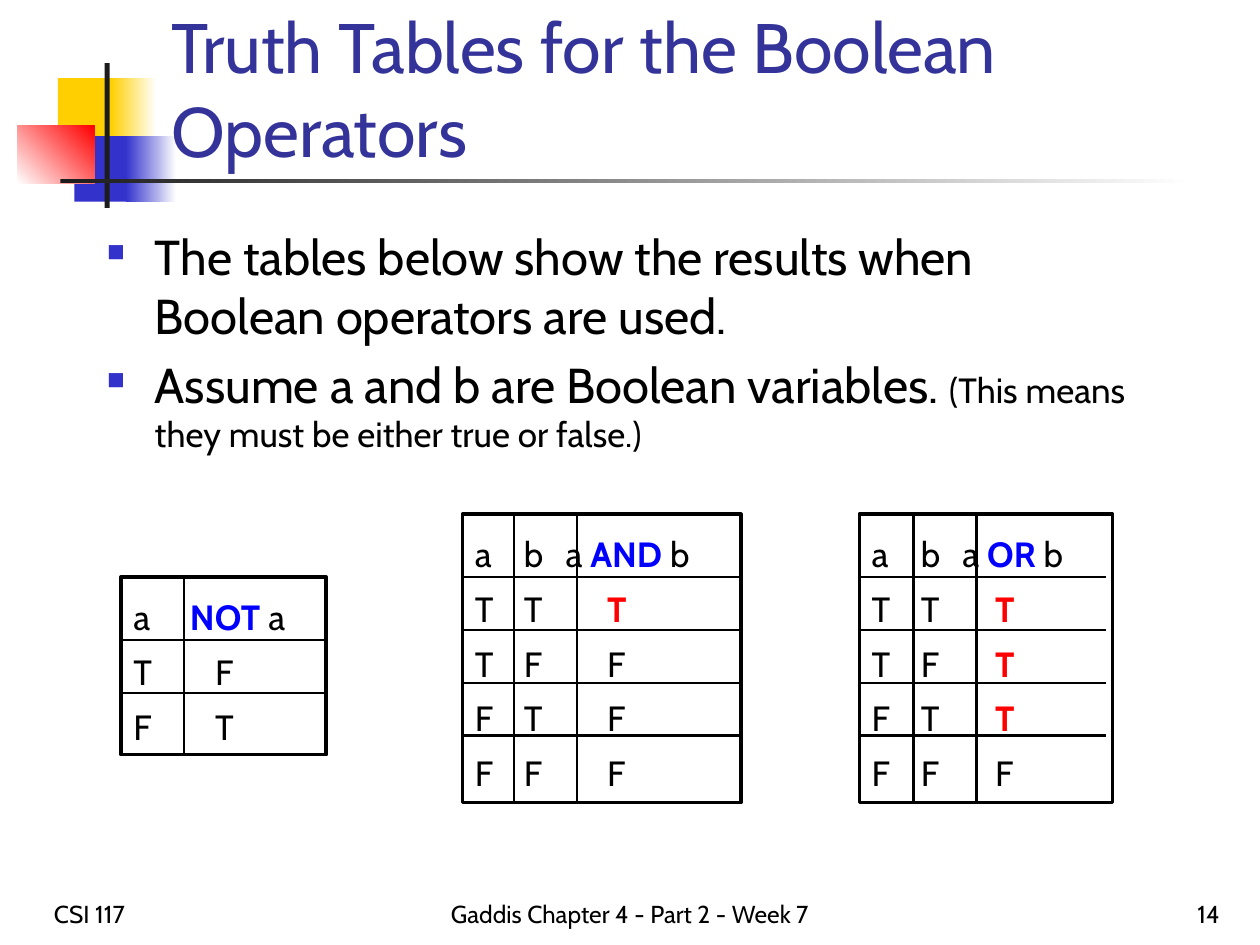
from lxml.etree import SubElement
from pptx import Presentation
from pptx.dml.color import RGBColor
from pptx.enum.shapes import MSO_CONNECTOR as Connector, MSO_SHAPE as Preset
from pptx.enum.text import MSO_ANCHOR as Anchor, PP_ALIGN as Align
from pptx.oxml.ns import qn
from pptx.util import Inches, Pt

WIDTH, HEIGHT = 10, 7.5
FONT = "Cabin"
BLACK, WHITE, DARK = "000000", "FFFFFF", "1C1C1C"
YELLOW, BLUE, RED = "FFCF01", "3333CC", "FF0000"
OPERATOR = {"color": "0000FF", "bold": True}
TRUE = ("T", {"color": RED, "bold": True})

HEADER_ROW, ROW = 0.5, 0.42


def rgb(code):
    return RGBColor.from_string(code)


def inches(*lengths):
    return [Inches(length) for length in lengths]


def add_span(para, text, size=20, color=BLACK, bold=False):
    span = para.add_run()
    span.text = text
    span.font.name, span.font.size, span.font.bold = FONT, Pt(size), bold
    span.font.color.rgb = rgb(color)


def add_bar(page, area, *colors, angle=0):
    """Draw a rectangle in one colour, or in a gradient between two."""
    bar = page.shapes.add_shape(Preset.RECTANGLE, *inches(*area))
    bar.shadow.inherit = False
    bar.line.fill.background()
    if len(colors) == 1:
        bar.fill.solid()
        bar.fill.fore_color.rgb = rgb(colors[0])
        return
    bar.fill.gradient()
    bar.fill.gradient_angle = angle
    for stop, color, position in zip(bar.fill.gradient_stops, colors, (0, 1)):
        stop.color.rgb = rgb(color)
        stop.position = position


def add_rule(page, start, end):
    rule = page.shapes.add_connector(Connector.STRAIGHT, *inches(*start, *end))
    rule.line.color.rgb = rgb(BLACK)
    rule.line.width = Pt(1.5)
    SubElement(rule._element.spPr, qn("a:effectLst"))


def add_box(page, area, anchor=Anchor.BOTTOM):
    frame = page.shapes.add_textbox(*inches(*area)).text_frame
    frame.word_wrap = True
    frame.vertical_anchor = anchor
    return frame


def add_label(page, area, text, align=Align.LEFT, **style):
    para = add_box(page, area).paragraphs[0]
    para.alignment = align
    add_span(para, text, **style)


def set_bullet(para, indent=0.38):
    props = para._p.get_or_add_pPr()
    props.set("marL", str(Inches(indent)))
    props.set("indent", str(-Inches(indent)))
    SubElement(SubElement(props, qn("a:buClr")), qn("a:srgbClr"), val=BLUE)
    SubElement(props, qn("a:buSzPct"), val="50000")
    SubElement(props, qn("a:buChar"), char="■")


def add_bullets(page, area, items):
    frame = add_box(page, area, Anchor.TOP)
    for index, spans in enumerate(items):
        para = frame.add_paragraph() if index else frame.paragraphs[0]
        para.space_before = Pt(5.6)
        set_bullet(para)
        for text, size in spans:
            add_span(para, text, size=size)


def set_tabs(para, stops):
    tabs = SubElement(para._p.get_or_add_pPr(), qn("a:tabLst"))
    for stop in stops:
        SubElement(tabs, qn("a:tab"), pos=str(Inches(stop)), algn="l")


def add_truth_table(page, area, rules, header, rows, header_tabs, row_tabs,
                    rule_length=None):
    """Draw a framed grid; tab stops place the text of each row."""
    left, top, width, height = area
    frame = page.shapes.add_shape(Preset.RECTANGLE, *inches(*area))
    frame.shadow.inherit = False
    frame.fill.background()
    frame.line.color.rgb = rgb(BLACK)
    frame.line.width = Pt(2)

    # Text: the inputs, then the result of the operator
    text = frame.text_frame
    text.word_wrap = True
    text.vertical_anchor = Anchor.TOP
    inputs = "ab"[:len(rules)]
    for index, line in enumerate([[*inputs, header], *rows]):
        para = text.paragraphs[0] if index == 0 else text.add_paragraph()
        para.alignment = Align.LEFT
        para.line_spacing = 1.3
        set_tabs(para, row_tabs if index else header_tabs)
        for column, content in enumerate(line):
            if column:
                add_span(para, "\t")
            if isinstance(content, str):
                content = (content, {})
            for value, style in content if isinstance(content, list) else [content]:
                add_span(para, value, **style)

    # Rules between rows and columns
    for index in range(len(rows)):
        y = top + HEADER_ROW + index * ROW
        add_rule(page, (left, y), (left + (rule_length or width), y))
    for offset in rules:
        add_rule(page, (left + offset, top), (left + offset, top + height))


def add_decoration(page):
    # Yellow and blue bands: a solid part, then a fade to white
    for color, top, solid, fade in ((YELLOW, 0.62, (0.46, 0.48), (0.88, 0.36)),
                                    (BLUE, 1.08, (0.59, 0.46), (1, 0.4))):
        for (left, width), colors in ((solid, [color]), (fade, [color, WHITE])):
            add_bar(page, (left, top, width, 0.52), *colors)
    # Red block and the crossing rules
    add_bar(page, (0.14, 1, 0.61, 0.46), WHITE, RED, angle=45)
    add_bar(page, (0.83, 0.5, 0.04, 1.15), DARK)
    add_bar(page, (0.48, 1.42, 9, 0.03), DARK, WHITE)


def add_footer(page):
    for left, width, text, align in (
            (0.33, 1.42, "CSI 117", Align.LEFT),
            (2, 6, "Gaddis Chapter 4 - Part 2 - Week 7", Align.CENTER),
            (8.25, 1.53, "14", Align.RIGHT)):
        add_label(page, (left, 6.92, width, 0.5), text, align, size=14)


def main():
    deck = Presentation()
    deck.slide_width, deck.slide_height = inches(WIDTH, HEIGHT)
    page = deck.slides.add_slide(deck.slide_layouts[6])

    add_decoration(page)
    add_footer(page)

    # Title and explanation
    add_label(page, (1.26, 0.08, 8.52, 1.33),
              "Truth Tables for the Boolean Operators", size=40, color="333399")
    add_bullets(page, (0.75, 1.75, 8.5, 4.96), [
        [("The tables below show the results when Boolean operators are used.", 28)],
        [("Assume a and b are Boolean variables. ", 28),
         ("(This means they must be either true or false.)", 20)],
    ])

    # Truth tables
    add_truth_table(page, (0.96, 4.58, 1.63, 1.41), (0.5,),
                    [("NOT", OPERATOR), (" a", {})], ["TF", "FT"],
                    header_tabs=(0.45,), row_tabs=(0.65,))
    add_truth_table(page, (3.67, 4.08, 2.21, 2.29), (0.41, 0.91),
                    [("a ", {}), ("AND", OPERATOR), (" b", {})],
                    [("T", "T", TRUE), "TFF", "FTF", "FFF"],
                    header_tabs=(0.39, 0.72), row_tabs=(0.39, 1.05))
    add_truth_table(page, (6.82, 4.08, 2.01, 2.29), (0.43, 0.93),
                    [("a ", {}), ("OR", OPERATOR), (" b", {})],
                    [("T", "T", TRUE), ("T", "F", TRUE), ("F", "T", TRUE), "FFF"],
                    header_tabs=(0.39, 0.72), row_tabs=(0.39, 0.98),
                    rule_length=1.96)

    deck.save("out.pptx")


if __name__ == "__main__":
    main()
